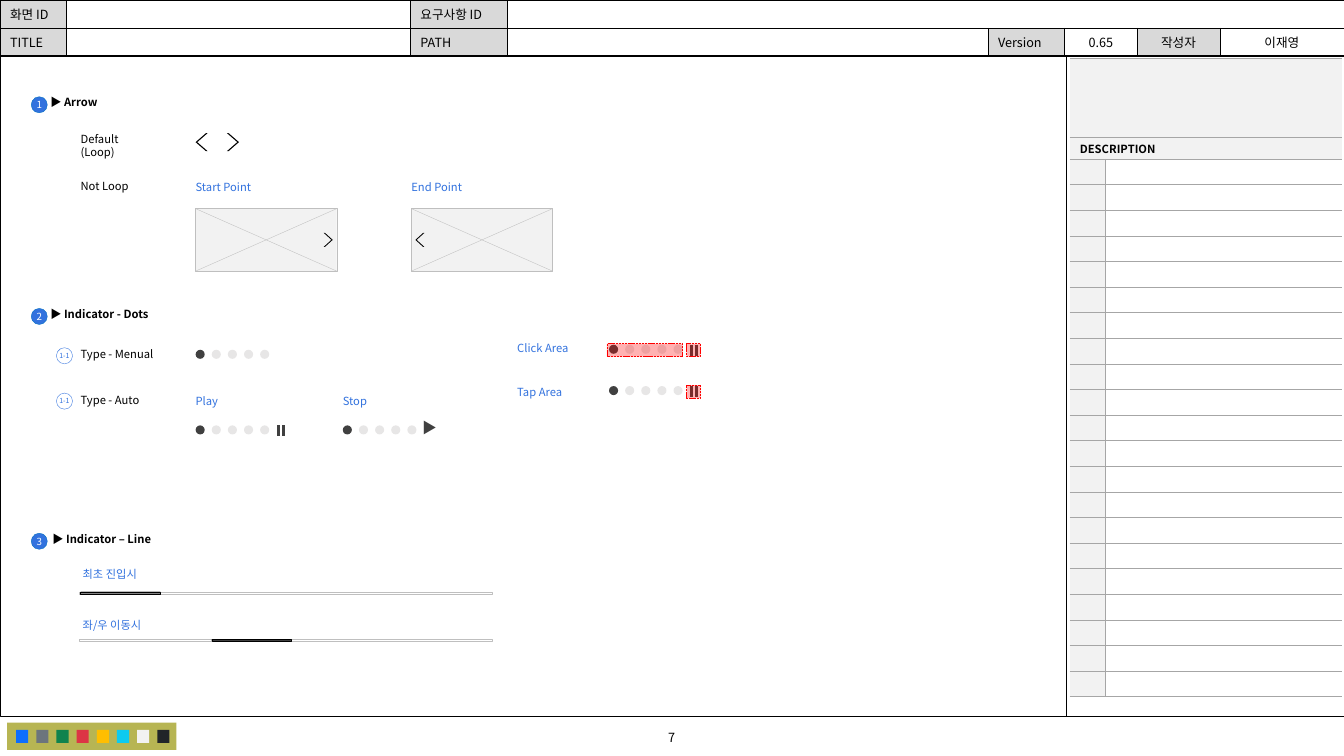
from lxml import etree
from pptx import Presentation
from pptx.dml.color import RGBColor
from pptx.enum.dml import MSO_LINE
from pptx.enum.shapes import MSO_CONNECTOR, MSO_SHAPE
from pptx.enum.text import MSO_ANCHOR, PP_ALIGN
from pptx.oxml.ns import qn
from pptx.util import Inches, Pt

RECT, OVAL, CHEVRON = MSO_SHAPE.RECTANGLE, MSO_SHAPE.OVAL, MSO_SHAPE.CHEVRON
LEFT, CENTER = PP_ALIGN.LEFT, PP_ALIGN.CENTER
TOP, MIDDLE = MSO_ANCHOR.TOP, MSO_ANCHOR.MIDDLE
STRAIGHT, DASHED = MSO_CONNECTOR.STRAIGHT, MSO_LINE.SQUARE_DOT
FONT = "Noto Sans CJK KR"
BLACK, WHITE, BLUE, RED = "000000", "FFFFFF", "3272DE", "FF0000"
DARK, PALE, PANEL, SILVER, GRAY = "404040", "E7E6E6", "F2F2F2", "BFBFBF", "A6A6A6"
WIDTH, HEIGHT = 13.33, 7.5

HEADER_COLUMNS = [0.66, 3.41, 0.96, 4.77, 0.76, 0.72, 0.82, 1.23]
HEADER = [["화면 ID", "", "요구사항 ID", "", "", "", "", ""],
          ["TITLE", "", "PATH", "", "Version", "0.65", "작성자", "이재영"]]
HEADER_LABELS = {"화면 ID", "요구사항 ID", "TITLE", "PATH", "Version", "작성자"}
DESCRIPTION_COLUMNS = [0.35, 2.35]
DESCRIPTION_ROWS = [0.78, 0.22] + [5.34 / 21] * 21
PALETTE = ["0D6EFD", "6C757D", "10834E", "DC3545", "FFBE00", "0DCAF0", "F2F2F2", "212529"]

LABEL_X, SAMPLE_X, END_X, STOP_X, AREA_X, AREA_DOTS_X = 0.8, 1.94, 4.08, 3.4, 5.13, 6.04
SECTIONS = [("1", "▶ Arrow", 0.4, 0.9), ("2", "▶ Indicator - Dots", 0.4, 3.0),
            ("3", "▶ Indicator – Line", 0.42, 5.23)]
LABELS = [("Default (Loop)", LABEL_X, 1.31, 0.5, BLACK), ("Not Loop", LABEL_X, 1.78, 1, BLACK),
          ("Type - Menual", LABEL_X, 3.45, 1, BLACK), ("Type - Auto", LABEL_X, 3.9, 1, BLACK),
          ("Start Point", SAMPLE_X, 1.79, 1, BLUE), ("End Point", END_X, 1.79, 1, BLUE),
          ("Play", SAMPLE_X, 3.91, 1, BLUE), ("Stop", STOP_X, 3.91, 1, BLUE),
          ("Click Area", AREA_X, 3.39, 1, BLUE), ("Tap Area", AREA_X, 3.82, 1, BLUE),
          ("최초 진입시", 0.82, 5.63, 1, BLUE), ("좌/우 이동시", 0.82, 6.13, 1, BLUE)]
SUB_BADGES = [("1-1", 3.45), ("1-1", 3.9)]
DOT_ROWS = [(SAMPLE_X, 3.47, False), (SAMPLE_X, 4.22, True), (STOP_X, 4.22, False),
            (AREA_DOTS_X, 3.42, True), (AREA_DOTS_X, 3.83, True)]
HOT_AREAS = [(6.81, 3.41, 0.14), (6.02, 3.41, 0.75), (6.81, 3.82, 0.14)]
ARROWS = [(2.25, 1.32, 0.12, 0.18, 0), (1.94, 1.32, 0.12, 0.18, 180),
          (3.21, 2.31, 0.09, 0.14, 0), (4.12, 2.31, 0.09, 0.14, 180)]
BARS = [(5.87, 0.8), (6.34, 2.1)]

prs = Presentation()
prs.slide_width, prs.slide_height = Inches(WIDTH), Inches(HEIGHT)
slide = prs.slides.add_slide(prs.slide_layouts[6])


def rgb(color):
    """Turn a hex string into a colour."""
    return RGBColor.from_string(color)


def style(paragraph, size, color=BLACK, align=LEFT, bold=False):
    """Format a whole paragraph, Korean letters included."""
    font = paragraph.font
    font.name, font.size, font.bold = FONT, Pt(size), bold
    font.color.rgb = rgb(color)
    paragraph.alignment = align
    latin = font._element.find(qn("a:latin"))
    latin.addnext(latin.makeelement(qn("a:ea"), {"typeface": FONT}))


def write(frame, words, size, color=BLACK, align=LEFT, bold=False, inset=(0, 0), anchor=TOP):
    """Fill a text frame with one formatted paragraph."""
    frame.word_wrap, frame.vertical_anchor = True, anchor
    frame.margin_left = frame.margin_right = Inches(inset[0])
    frame.margin_top = frame.margin_bottom = Inches(inset[1])
    frame.text = words
    style(frame.paragraphs[0], size, color, align, bold)


def text(words, x, y, w, h, size, **look):
    """Add a text box."""
    box = slide.shapes.add_textbox(Inches(x), Inches(y), Inches(w), Inches(h))
    write(box.text_frame, words, size, **look)


def shape(kind, x, y, w, h, fill=None, line=None, weight=0.25):
    """Add a flat preset shape."""
    part = slide.shapes.add_shape(kind, Inches(x), Inches(y), Inches(w), Inches(h))
    part.shadow.inherit = False
    if fill:
        part.fill.solid()
        part.fill.fore_color.rgb = rgb(fill)
    else:
        part.fill.background()
    if line:
        part.line.color.rgb, part.line.width = rgb(line), Pt(weight)
    else:
        part.line.fill.background()
    return part


def rule(x1, y1, x2, y2, color, weight):
    """Add a straight line without a shadow."""
    line = slide.shapes.add_connector(STRAIGHT, Inches(x1), Inches(y1), Inches(x2), Inches(y2))
    line.line.color.rgb, line.line.width = rgb(color), Pt(weight)
    etree.SubElement(line._element.spPr, qn("a:effectLst"))


def badge(words, x, y, size, fill, line, color):
    """Add a numbered circle."""
    circle = shape(OVAL, x, y, 0.16, 0.16, fill, line)
    write(circle.text_frame, words, size, color, CENTER, anchor=MIDDLE)
    circle.text_frame.word_wrap = False


def table(x, y, columns, rows):
    """Add an unstyled table with the given column widths and row heights."""
    grid = slide.shapes.add_table(len(rows), len(columns), Inches(x), Inches(y),
                                  Inches(sum(columns)), Inches(sum(rows))).table
    grid.first_row = grid.horz_banding = False
    for column, width in zip(grid.columns, columns):
        column.width = Inches(width)
    for row, height in zip(grid.rows, rows):
        row.height = Inches(height)
    return grid


def dress(cell, words, size, fill, border, sides, align=LEFT, bold=False):
    """Set the text, fill and borders of a cell."""
    write(cell.text_frame, words, size, align=align, bold=bold)
    cell.vertical_anchor = MIDDLE
    cell.margin_left = cell.margin_right = Inches(0.1)
    cell.margin_top = cell.margin_bottom = 0
    cell.fill.solid()
    cell.fill.fore_color.rgb = rgb(fill)
    properties = cell._tc.get_or_add_tcPr()
    for place, side in enumerate("LRTB"):
        edge = etree.Element(qn("a:ln" + side), w=str(Pt(0.5)))
        if side in sides:
            paint = etree.SubElement(edge, qn("a:solidFill"))
            etree.SubElement(paint, qn("a:srgbClr"), val=border)
        else:
            etree.SubElement(edge, qn("a:noFill"))
        properties.insert(place, edge)


header = table(0, 0, HEADER_COLUMNS, [0.28, 0.28])
for r, entries in enumerate(HEADER):
    for c, entry in enumerate(entries):
        dress(header.cell(r, c), entry, 9, "D9D9D9" if entry in HEADER_LABELS else WHITE,
              BLACK, "LRTB", CENTER if c > 4 else LEFT)
header.cell(0, 3).merge(header.cell(0, 7))

shape(RECT, 0, 0.55, WIDTH, 6.56, line=BLACK)
text("7", 5.37, 7.19, 2.58, 0.25, 9, align=CENTER, inset=(0.1, 0.05))
rule(10.58, 0.56, 10.58, 7.11, BLACK, 0.5)
shape(RECT, 0.07, 7.17, 1.68, 0.27, "B7B553")
for i, swatch in enumerate(PALETTE):
    shape(RECT, 0.16 + 0.2 * i, 7.24, 0.12, 0.13, swatch)

for number, heading, x, y in SECTIONS:
    text(heading, x, y, 1.91, 0.24, 8, bold=True, inset=(0.1, 0.05))
    badge(number, 0.31, y + 0.06, 7, BLUE, "0070C0", WHITE)
for number, y in SUB_BADGES:
    badge(number, 0.56, y, 5, WHITE, BLUE, BLUE)
for words, x, y, width, color in LABELS:
    text(words, x, y, width, 0.13, 8, color=color)

for x in (SAMPLE_X, END_X):
    shape(RECT, x, 2.07, 1.4, 0.62, PANEL, SILVER)
    rule(x, 2.07, x + 1.4, 2.69, SILVER, 0.25)
    rule(x + 1.4, 2.07, x, 2.69, SILVER, 0.25)
for x, y, width, height, turn in ARROWS:
    arrow = shape(CHEVRON, x, y, width, height, BLACK)
    arrow.adjustments[0], arrow.rotation = 0.86, turn

for x, y, pausable in DOT_ROWS:
    for i in range(5):
        shape(OVAL, x + 0.16 * i, y, 0.09, 0.09, PALE if i else DARK)
    for bar_x in (x + 0.82, x + 0.87) if pausable else ():
        rule(bar_x, y, bar_x, y + 0.11, DARK, 2.25)
text("▶", 4.07, 4.11, 0.38, 0.27, 10.5, color=DARK, align=CENTER, anchor=MIDDLE)
for x, y, width in HOT_AREAS:
    area = shape(RECT, x, y, width, 0.13, RED, RED, 0.5)
    area.line.dash_style = DASHED
    tint = area._element.spPr.find(qn("a:solidFill"))[0]
    etree.SubElement(tint, qn("a:alpha"), val="30000")

for y, progress_x in BARS:
    shape(RECT, 0.79, y, 4.09, 0.02, line=SILVER)
    shape(RECT, progress_x, y, 0.79, 0.02, DARK, BLACK)

description = table(10.61, 0.58, DESCRIPTION_COLUMNS, DESCRIPTION_ROWS)
for r in range(len(DESCRIPTION_ROWS)):
    for c in range(2):
        dress(description.cell(r, c), "DESCRIPTION" if (r, c) == (1, 0) else "", 8,
              WHITE if r > 1 and c else PANEL, GRAY, "LTB" if r > 1 and c else "RTB" if r > 1 else "TB",
              bold=True)
for r in range(2):
    description.cell(r, 0).merge(description.cell(r, 1))

prs.save("out.pptx")
